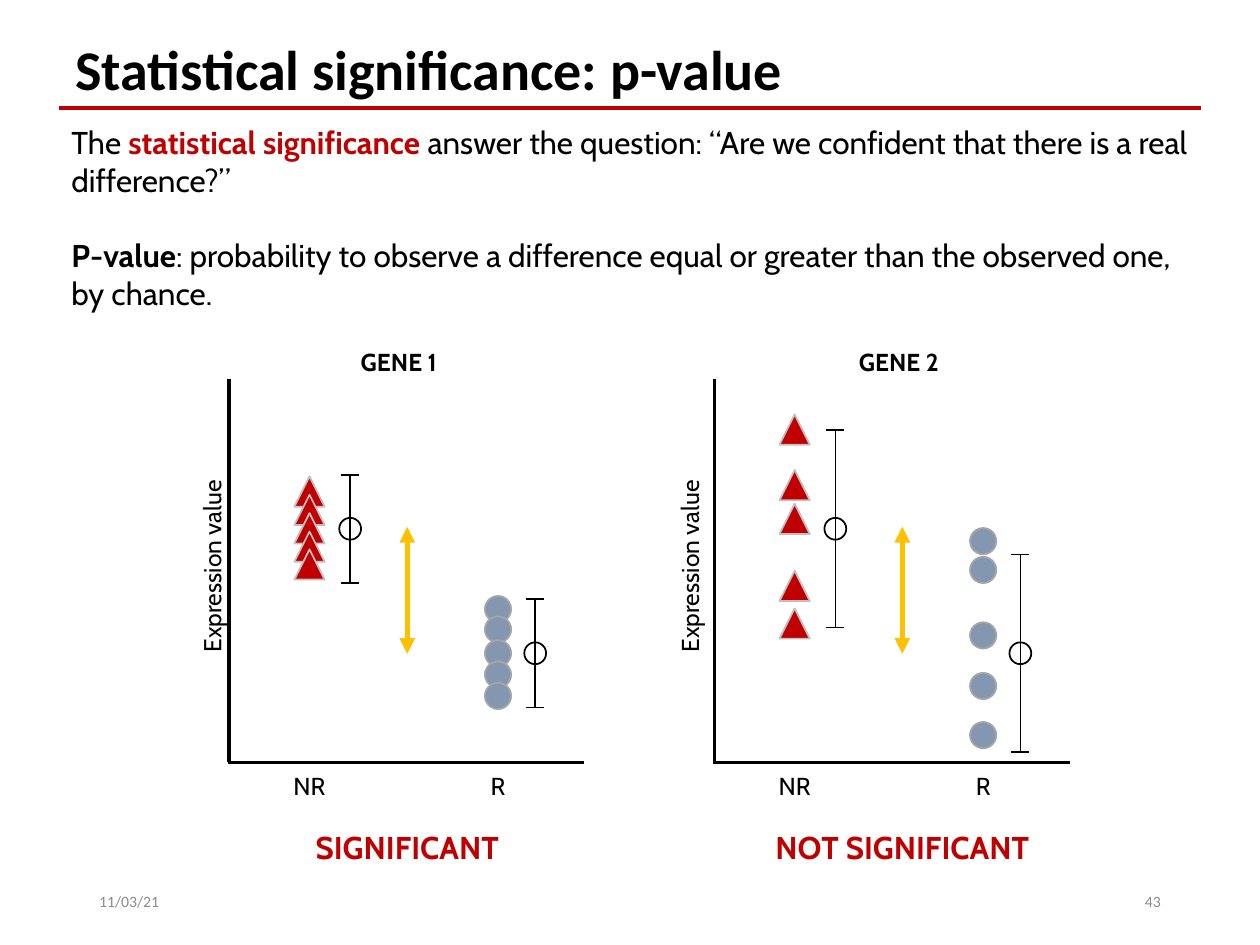
from dataclasses import dataclass

from lxml.etree import SubElement
from pptx import Presentation
from pptx.dml.color import RGBColor
from pptx.enum.shapes import MSO_CONNECTOR, MSO_SHAPE
from pptx.enum.text import MSO_ANCHOR, PP_ALIGN
from pptx.oxml.ns import qn
from pptx.util import Cm, Pt

BLACK = RGBColor(0x00, 0x00, 0x00)
RED = RGBColor(0xC0, 0x00, 0x00)
BLUE_GREY = RGBColor(0x84, 0x97, 0xB0)
AMBER = RGBColor(0xFF, 0xC0, 0x00)
TRIANGLE_EDGE = RGBColor(0xBF, 0xBF, 0xBF)
CIRCLE_EDGE = RGBColor(0xA6, 0xA6, 0xA6)
FOOTER_GREY = RGBColor(0x8C, 0x8C, 0x8C)

# Heights shared by both plots, in cm
AXIS_TOP, AXIS_BOTTOM = 7.64, 15.37
NR_MEAN, R_MEAN = 10.66, 13.17

# Distances to the right of the vertical axis, in cm
NR_X, NR_BAR_X = 1.62, 2.44
R_X, R_BAR_X = 5.42, 6.17


@dataclass
class Gene:
    title: str
    verdict: str
    axis_x: float
    title_x: float
    arrow_x: float
    ylabel_x: float
    nr_values: list
    r_values: list
    bar_half: float


GENES = [
    Gene("GENE 1", "SIGNIFICANT", 4.62, 8.04, 8.21, 4.24,
         [9.91, 10.28, 10.65, 11.02, 11.38],
         [12.28, 12.69, 13.17, 13.6, 14.03], 1.09),
    Gene("GENE 2", "NOT SIGNIFICANT", 14.4, 18.12, 18.19, 13.87,
         [8.66, 9.78, 10.46, 11.81, 12.57],
         [10.91, 11.49, 12.81, 13.83, 14.82], 1.99),
]


def add_run(paragraph, text, size, color=BLACK, bold=False, font="Cabin"):
    run = paragraph.add_run()
    run.text = text
    run.font.name = font
    run.font.size = Pt(size)
    run.font.bold = bold
    run.font.color.rgb = color


def add_box(slide, left, top, width, height):
    box = slide.shapes.add_textbox(Cm(left), Cm(top), Cm(width), Cm(height))
    box.text_frame.word_wrap = True
    return box


def add_label(slide, center_x, top, width, text, size=14, color=BLACK, bold=False):
    box = add_box(slide, center_x - width / 2, top, width, 0.79)
    paragraph = box.text_frame.paragraphs[0]
    paragraph.alignment = PP_ALIGN.CENTER
    add_run(paragraph, text, size, color, bold)
    return box


def add_line(slide, x1, y1, x2, y2, color=BLACK, width=1):
    line = slide.shapes.add_connector(
        MSO_CONNECTOR.STRAIGHT, Cm(x1), Cm(y1), Cm(x2), Cm(y2))
    line.line.color.rgb = color
    line.line.width = Pt(width)
    SubElement(line._element.spPr, qn("a:effectLst"))
    return line


def add_double_arrow(slide, x, top, bottom):
    arrow = add_line(slide, x, top, x, bottom, AMBER, 3)
    outline = arrow.line._get_or_add_ln()
    for end in ("a:headEnd", "a:tailEnd"):
        SubElement(outline, qn(end), type="triangle")


def add_marker(slide, kind, x, y, size, edge, fill=None):
    marker = slide.shapes.add_shape(
        kind, Cm(x - size / 2), Cm(y - size / 2), Cm(size), Cm(size))
    marker.shadow.inherit = False
    if fill is None:
        marker.fill.background()
    else:
        marker.fill.solid()
        marker.fill.fore_color.rgb = fill
    marker.line.color.rgb = edge
    marker.line.width = Pt(1)


def add_error_bar(slide, x, mean, half):
    top, bottom = mean - half, mean + half
    add_line(slide, x, top, x, bottom)
    for cap_y in (top, bottom):
        add_line(slide, x - 0.18, cap_y, x + 0.18, cap_y)
    add_marker(slide, MSO_SHAPE.OVAL, x, mean, 0.44, BLACK)


def add_gene_plot(slide, gene):
    x = gene.axis_x

    # Data points
    for value in gene.r_values:
        add_marker(slide, MSO_SHAPE.OVAL, x + R_X, value, 0.53, CIRCLE_EDGE, BLUE_GREY)
    for value in gene.nr_values:
        add_marker(slide, MSO_SHAPE.ISOSCELES_TRIANGLE, x + NR_X, value, 0.61,
                   TRIANGLE_EDGE, RED)

    # Axes and their labels
    add_line(slide, x, AXIS_TOP, x, AXIS_BOTTOM, width=2)
    add_line(slide, x - 0.03, AXIS_BOTTOM, x + 7.16, AXIS_BOTTOM, width=2)
    add_label(slide, x + NR_X, 15.42, 2.36, "NR")
    add_label(slide, x + R_X, 15.42, 2.36, "R")
    add_label(slide, gene.ylabel_x, 11.02, 5.94, "Expression value").rotation = 270

    # Means, spread and the difference between groups
    add_error_bar(slide, x + NR_BAR_X, NR_MEAN, gene.bar_half)
    add_error_bar(slide, x + R_BAR_X, R_MEAN, gene.bar_half)
    add_double_arrow(slide, gene.arrow_x, NR_MEAN - 0.04, R_MEAN + 0.01)

    # Gene name and verdict
    add_label(slide, gene.title_x, 6.88, 2.36, gene.title, bold=True)
    add_label(slide, gene.arrow_x, 16.56, 7.98, gene.verdict, 18, RED, True)


def add_heading(slide):
    heading = add_box(slide, 1.27, 0.58, 22.86, 1.57)
    add_run(heading.text_frame.paragraphs[0], "Statistical significance: p-value",
            32, bold=True, font="Calibri")
    add_line(slide, 1.19, 2.18, 24.21, 2.18, RED, 2)


def add_definitions(slide):
    frame = add_box(slide, 1.19, 2.36, 23.01, 4.11).text_frame
    question = frame.paragraphs[0]
    add_run(question, "The ", 18)
    add_run(question, "statistical significance", 18, RED, True)
    add_run(question, " answer the question: “Are we confident that there is "
                      "a real difference?”", 18)
    p_value = frame.add_paragraph()
    p_value.space_before = Pt(21.5)
    add_run(p_value, "P-value", 18, bold=True)
    add_run(p_value, ": probability to observe a difference equal or greater than "
                     "the observed one, by chance.", 18)


def add_footer(slide, left, text, alignment):
    frame = add_box(slide, left, 17.65, 5.72, 1.02).text_frame
    frame.vertical_anchor = MSO_ANCHOR.MIDDLE
    frame.paragraphs[0].alignment = alignment
    add_run(frame.paragraphs[0], text, 9, FOOTER_GREY, font="Calibri")


def main():
    deck = Presentation()
    deck.slide_width, deck.slide_height = Cm(25.4), Cm(19.05)
    slide = deck.slides.add_slide(deck.slide_layouts[6])

    for gene in GENES:
        add_gene_plot(slide, gene)
    add_definitions(slide)
    add_heading(slide)
    add_footer(slide, 1.75, "11/03/21", PP_ALIGN.LEFT)
    add_footer(slide, 17.93, "43", PP_ALIGN.RIGHT)

    deck.save("out.pptx")


if __name__ == "__main__":
    main()
